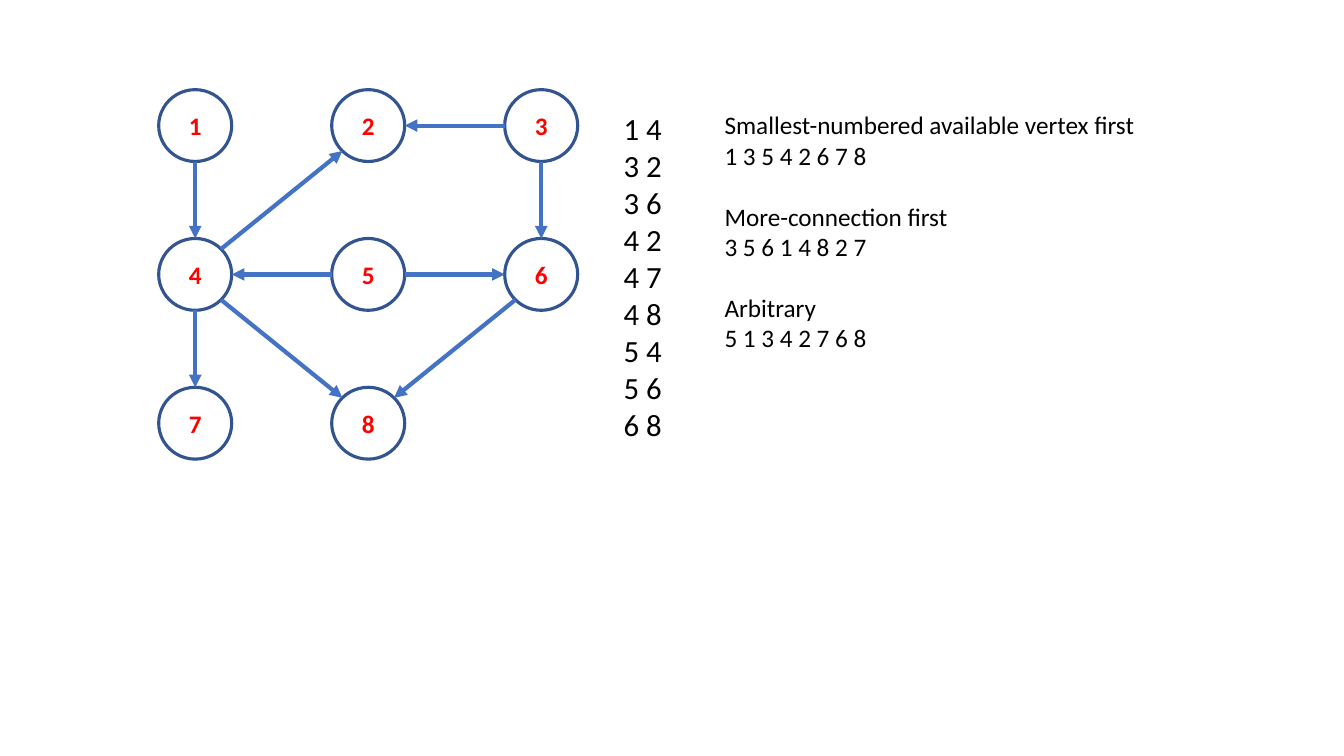
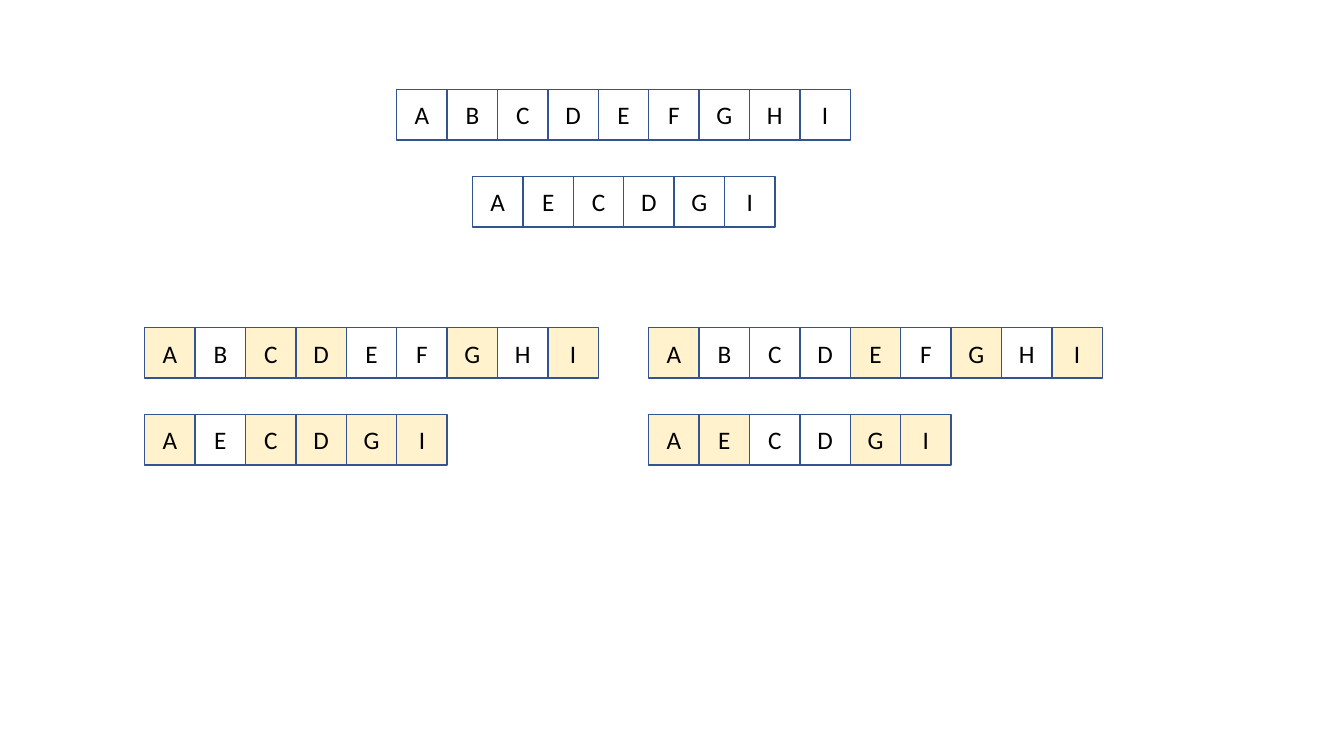
"""Build two slides: topological orders of a graph, and common subsequences."""
from math import hypot

from lxml.etree import SubElement
from pptx import Presentation
from pptx.dml.color import RGBColor
from pptx.enum.shapes import MSO_CONNECTOR, MSO_SHAPE
from pptx.enum.text import MSO_ANCHOR, MSO_AUTO_SIZE, PP_ALIGN
from pptx.oxml.ns import qn
from pptx.util import Cm, Pt

COLOURS = {
    "outline": "325491",
    "arrow": "4472C4",
    "vertex": "FFFFFF",
    "number": "FF0000",
    "text": "000000",
    "match": "FFF2CC",
}
COLOURS = {name: RGBColor.from_string(value) for name, value in COLOURS.items()}


def write_paragraph(paragraph, text, size=18, colour="text", bold=False):
    run = paragraph.add_run()
    run.text = text
    for name, value in {"name": "Calibri", "size": Pt(size), "bold": bold}.items():
        setattr(run.font, name, value)
    run.font.color.rgb = COLOURS[colour]


def add_labelled_shape(slide, kind, box, label, fill, line_width, **font):
    shape = slide.shapes.add_shape(kind, *(Cm(length) for length in box))
    shape.shadow.inherit = False
    if fill:
        shape.fill.solid()
        shape.fill.fore_color.rgb = COLOURS[fill]
    else:
        shape.fill.background()
    shape.line.color.rgb = COLOURS["outline"]
    shape.line.width = Pt(line_width)
    frame_format = {
        "margin_left": 0, "margin_right": 0, "margin_top": 0, "margin_bottom": 0,
        "vertical_anchor": MSO_ANCHOR.MIDDLE,
    }
    for name, value in frame_format.items():
        setattr(shape.text_frame, name, value)
    paragraph = shape.text_frame.paragraphs[0]
    paragraph.alignment = PP_ALIGN.CENTER
    write_paragraph(paragraph, label, **font)
    return shape


presentation = Presentation()
presentation.slide_width = Cm(33.87)
presentation.slide_height = Cm(19.05)
blank_layout = presentation.slide_layouts[6]

graph_slide = presentation.slides.add_slide(blank_layout)
LEFT, TOP = 4, 2.26
COLUMN_STEP, ROW_STEP = 4.36, 3.75
VERTEX_WIDTH, VERTEX_HEIGHT = 1.84, 1.81
EDGES = ["14", "32", "36", "42", "47", "48", "54", "56", "68"]

vertices, grid = {}, {}
for index, number in enumerate("12345678"):
    row, column = divmod(index, 3)
    box = (LEFT + column * COLUMN_STEP, TOP + row * ROW_STEP, VERTEX_WIDTH, VERTEX_HEIGHT)
    grid[number] = (column, row)
    vertices[number] = add_labelled_shape(
        graph_slide, MSO_SHAPE.OVAL, box, number, "vertex", 2.25, colour="number", bold=True)

SITES = [(0, -1), (-1, -1), (-1, 0), (-1, 1), (0, 1), (1, 1), (1, 0), (1, -1)]
for start, end in EDGES:
    across, down = (grid[end][axis] - grid[start][axis] for axis in (0, 1))
    points, glue = [], []
    for number, sign, tag in ((start, 1, "a:stCxn"), (end, -1, "a:endCxn")):
        column, row = grid[number]
        reach = sign / hypot(across, down) / 2
        points.append(Cm(LEFT + column * COLUMN_STEP + VERTEX_WIDTH * (0.5 + across * reach)))
        points.append(Cm(TOP + row * ROW_STEP + VERTEX_HEIGHT * (0.5 + down * reach)))
        glue.append((tag, vertices[number].shape_id, SITES.index((sign * across, sign * down))))
    connector = graph_slide.shapes.add_connector(MSO_CONNECTOR.STRAIGHT, *points)
    connector.line.color.rgb = COLOURS["arrow"]
    connector.line.width = Pt(3)
    properties = connector._element.spPr
    SubElement(properties.find(qn("a:ln")), qn("a:tailEnd"), type="triangle")
    SubElement(properties, qn("a:effectLst"))
    connection = connector._element.find(".//" + qn("p:cNvCxnSpPr"))
    for tag, shape_id, site in glue:
        SubElement(connection, qn(tag), id=str(shape_id), idx=str(site))

ORDERS = [
    "Smallest-numbered available vertex first", "1 3 5 4 2 6 7 8",
    "More-connection first", "3 5 6 1 4 8 2 7",
    "Arbitrary", "5 1 3 4 2 7 6 8",
]
LISTS = [
    ((15.47, 2.64, 1.47, 8.71), [" ".join(edge) for edge in EDGES], 22, ()),
    ((18.01, 2.64, 10.97, 6.4), ORDERS, 18, (2, 4)),
]
for box, lines, size, group_starts in LISTS:
    text_frame = graph_slide.shapes.add_textbox(*(Cm(length) for length in box)).text_frame
    text_frame.word_wrap = False
    text_frame.auto_size = MSO_AUTO_SIZE.SHAPE_TO_FIT_TEXT
    for index, line in enumerate(lines):
        paragraph = text_frame.add_paragraph() if index else text_frame.paragraphs[0]
        if index in group_starts:
            paragraph.space_before = Pt(22)
        write_paragraph(paragraph, line, size)

sequence_slide = presentation.slides.add_slide(blank_layout)
CELL = 1.27
LONG, SHORT = "ABCDEFGHI", "AECDGI"
SEQUENCES = [
    (10, 2.26, LONG, ""),
    (11.91, 4.45, SHORT, ""),
    (3.65, 8.26, LONG, "ACDGI"),
    (3.65, 10.45, SHORT, "ACDGI"),
    (16.35, 8.26, LONG, "AEGI"),
    (16.35, 10.45, SHORT, "AEGI"),
]
for left, top, letters, matches in SEQUENCES:
    for index, letter in enumerate(letters):
        box = (left + index * CELL, top, CELL, CELL)
        fill = "match" if letter in matches else None
        add_labelled_shape(sequence_slide, MSO_SHAPE.RECTANGLE, box, letter, fill, 1)

presentation.save("out.pptx")
